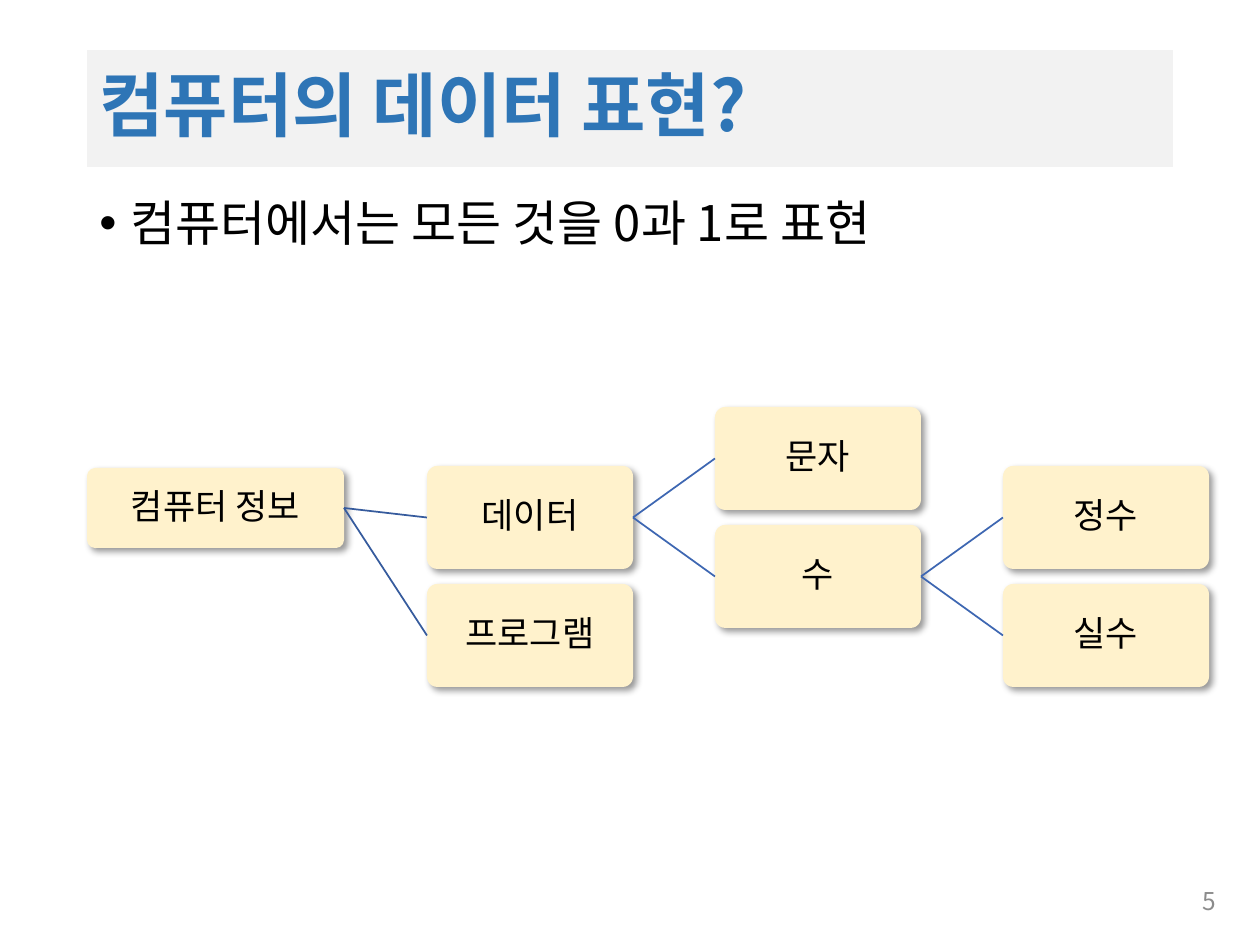
import pptx
import pptx.util
import pptx.dml.color
import pptx.enum.shapes
import pptx.enum.text
import pptx.oxml
import pptx.oxml.ns

PX = 914400 / 126
SANS = "Noto Sans CJK KR"
ALIGN = pptx.enum.text.PP_ALIGN
MIDDLE = pptx.enum.text.MSO_ANCHOR.MIDDLE

# Tree grid: half-row steps, equal columns
COL_X, COL_STEP = 427, 288
ROW_Y, ROW_STEP = 407, 59
NODE_W, NODE_H = 206, 103


def px(n):
    return pptx.util.Emu(round(n * PX))


def color(hex_string):
    return pptx.dml.color.RGBColor.from_string(hex_string)


def xml(tag, attrs="", inner=""):
    ns = pptx.oxml.ns.nsdecls("a")
    return pptx.oxml.parse_xml(f"<a:{tag} {ns} {attrs}>{inner}</a:{tag}>")


def write(sp, text, size, hex_color, align, font=SANS, bold=False):
    tf = sp.text_frame
    tf.word_wrap = True
    tf.auto_size = pptx.enum.text.MSO_AUTO_SIZE.NONE
    tf.text = text
    p = tf.paragraphs[0]
    p.alignment = align
    r = p.runs[0]
    r.font.name = font
    r.font.size = pptx.util.Pt(size)
    r.font.bold = bold
    r.font.color.rgb = color(hex_color)
    r.font._element.find(pptx.oxml.ns.qn("a:latin")).addnext(
        xml("ea", f'typeface="{SANS}"'))
    return p


def add_title(s, text):
    sp = s.shapes.title
    sp.left, sp.top, sp.width, sp.height = px(87), px(50), px(1086), px(117)
    sp.fill.solid()
    sp.fill.fore_color.rgb = color("F2F2F2")
    p = write(sp, text, 40, "2E75B6", ALIGN.LEFT, bold=True)
    p.line_spacing = 0.9
    sp.text_frame.vertical_anchor = MIDDLE


def add_bullet(s, text):
    sp = s.shapes.add_textbox(px(87), px(193), px(1086), px(656))
    p = write(sp, text, 28, "000000", ALIGN.LEFT)
    p.line_spacing = 0.9
    p.space_before = pptx.util.Pt(10)
    pPr = p._p.get_or_add_pPr()
    pPr.set("marL", "228600")
    pPr.set("indent", "-228600")
    pPr.append(xml("buFont", 'typeface="Arial"'))
    pPr.append(xml("buChar", 'char="•"'))


def add_page_number(s, text):
    sp = s.shapes.add_textbox(px(945), px(876), px(284), px(50))
    write(sp, text, 14, "8C8C8C", ALIGN.RIGHT)
    sp.text_frame.vertical_anchor = MIDDLE


def add_node(s, text, x, y, w=NODE_W, h=NODE_H):
    sp = s.shapes.add_shape(pptx.enum.shapes.MSO_SHAPE.ROUNDED_RECTANGLE,
                            px(x), px(y), px(w), px(h))
    sp.adjustments[0] = 0.1
    sp.fill.solid()
    sp.fill.fore_color.rgb = color("FFF2CC")
    sp.line.fill.background()
    shade = '<a:srgbClr val="000000"><a:alpha val="40000"/></a:srgbClr>'
    shadow = ('<a:outerShdw blurRad="50800" dist="38100" dir="2700000" '
              f'algn="tl" rotWithShape="0">{shade}</a:outerShdw>')
    sp._element.spPr.append(xml("effectLst", inner=shadow))
    tf = sp.text_frame
    tf.margin_left = tf.margin_right = tf.margin_top = tf.margin_bottom = px(4)
    tf.vertical_anchor = MIDDLE
    p = write(sp, text, 20, "000000", ALIGN.CENTER, font="Calibri")
    p.line_spacing = 0.9
    p.space_after = pptx.util.Pt(7)
    return sp


def add_branch(s, parent, child, hex_color):
    ln = s.shapes.add_connector(pptx.enum.shapes.MSO_CONNECTOR.STRAIGHT, 0, 0, 0, 0)
    ln.begin_connect(parent, 3)
    ln.end_connect(child, 1)
    ln.line.width = pptx.util.Pt(1)
    ln.line.color.rgb = color(hex_color)
    ln._element.spPr.append(xml("effectLst"))


def main():
    prs = pptx.Presentation()
    prs.slide_width, prs.slide_height = px(1260), px(945)
    s = prs.slides.add_slide(prs.slide_layouts[5])

    add_title(s, "컴퓨터의 데이터 표현?")
    add_bullet(s, "컴퓨터에서는 모든 것을 0과 1로 표현")

    # Tree nodes: name, column, half-row
    nodes = {"컴퓨터 정보": add_node(s, "컴퓨터 정보", 87, 468, 257, 80)}
    for name, col, row in [("데이터", 0, 1), ("프로그램", 0, 3), ("문자", 1, 0),
                           ("수", 1, 2), ("정수", 2, 1), ("실수", 2, 3)]:
        nodes[name] = add_node(s, name, COL_X + col * COL_STEP,
                               ROW_Y + row * ROW_STEP)

    # Branches, darker at the first level
    for parent, children, shade in [("컴퓨터 정보", ("데이터", "프로그램"), "365B9D"),
                                    ("데이터", ("문자", "수"), "3E67B2"),
                                    ("수", ("정수", "실수"), "3E67B2")]:
        for child in children:
            add_branch(s, nodes[parent], nodes[child], shade)

    add_page_number(s, "5")
    prs.save("out.pptx")


if __name__ == "__main__":
    main()
